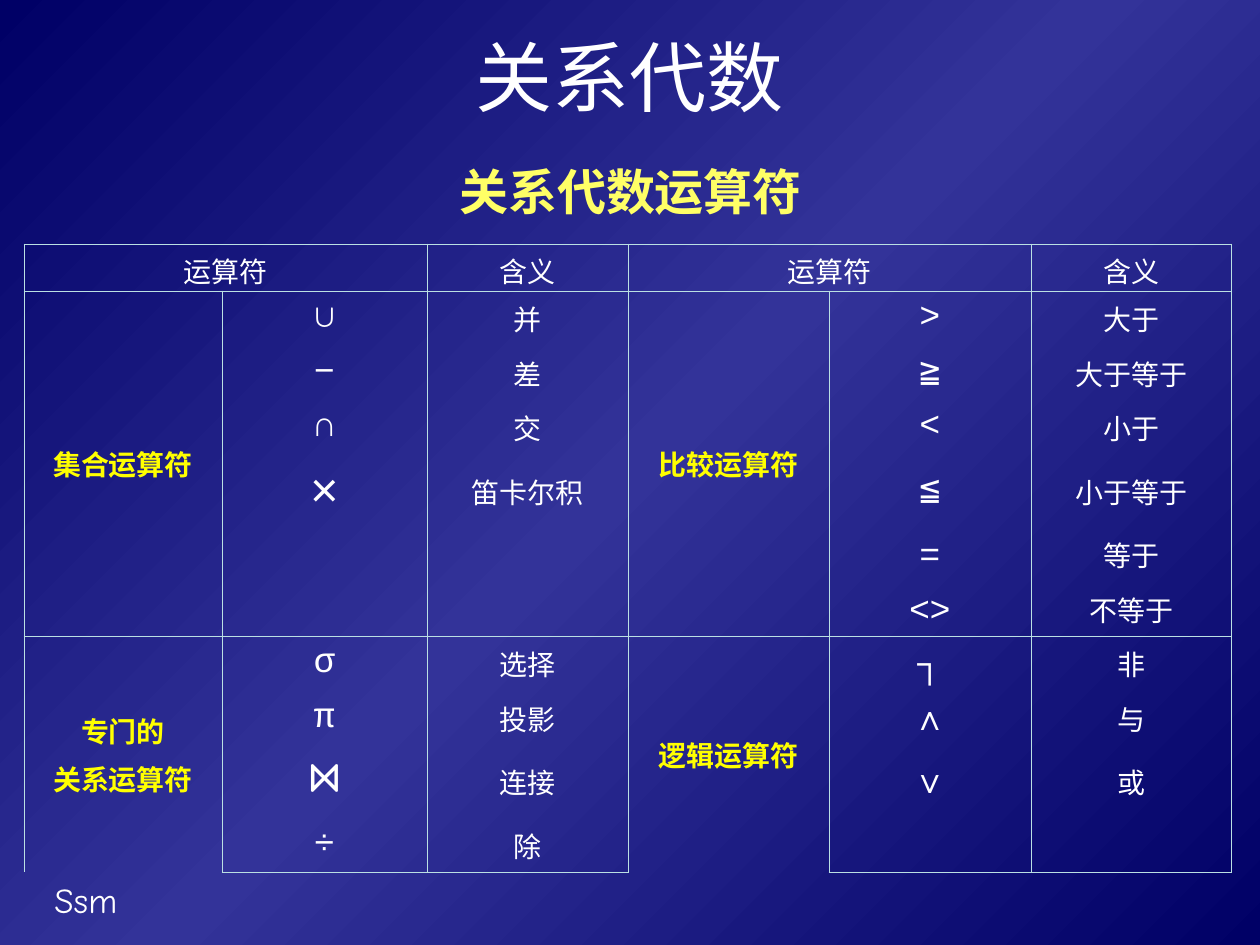
from pptx import Presentation
from pptx.dml.color import RGBColor
from pptx.enum.text import MSO_ANCHOR, PP_ALIGN
from pptx.oxml.ns import qn
from pptx.oxml.xmlchemy import OxmlElement
from pptx.util import Emu, Pt

CENTER, LEFT = PP_ALIGN.CENTER, PP_ALIGN.LEFT
MIDDLE, TOP = MSO_ANCHOR.MIDDLE, MSO_ANCHOR.TOP
PX = 914400 / 126

WHITE, YELLOW, PALE_YELLOW = "FFFFFF", "FFFF00", "FFFF66"
BORDER = "BBE0E3"
BACKGROUND_STOPS = [(0, "000066"), (50, "333399"), (100, "000066")]
CHINESE, SANS, MONO, COMIC = "Noto Sans CJK SC", "Arial", "Courier New", "Comic Neue"

# Table content: each group is (first row, row count, column, label, operators)
COLUMN_WIDTHS = [198, 205, 201, 201, 202, 201]
ROW_HEIGHTS = [47, 54, 54, 54, 72, 54, 54, 54, 54, 72, 54]
GROUP_TOPS = (0, 1, 7)
GROUP_BOTTOMS = (0, 6, 10)
GROUPS = [
    (1, 6, 0, ["集合运算符"],
     [("∪", "并"), ("−", "差"), ("∩", "交"), ("×", "笛卡尔积")]),
    (1, 6, 3, ["比较运算符"],
     [(">", "大于"), ("≧", "大于等于"), ("<", "小于"),
      ("≦", "小于等于"), ("=", "等于"), ("<>", "不等于")]),
    (7, 4, 0, ["专门的", "关系运算符"],
     [("σ", "选择"), ("π", "投影"), ("⋈", "连接"), ("÷", "除")]),
    (7, 4, 3, ["逻辑运算符"],
     [("┐", "非"), ("∧", "与"), ("∨", "或")]),
]
SANS_SYMBOLS = {"×", "=", "<>", "┐", "∧", "∨"}
LARGE_SYMBOLS = {"×", "⋈"}


def px(length):
    return Emu(round(length * PX))


def color(value):
    return RGBColor.from_string(value)


def solid_fill(value):
    fill = OxmlElement("a:solidFill")
    rgb = OxmlElement("a:srgbClr")
    rgb.set("val", value)
    fill.append(rgb)
    return fill


class SlideBuilder:
    def __init__(self, presentation):
        self.slide = presentation.slides.add_slide(presentation.slide_layouts[6])

    def background(self, stops):
        fill = self.slide.background.fill
        fill.gradient()
        fill.gradient_angle = 315
        stop_list = self.slide.element.find(".//" + qn("a:gsLst"))
        stop_list.clear()
        for position, value in stops:
            stop = OxmlElement("a:gs")
            stop.set("pos", str(position * 1000))
            stop.append(solid_fill(value)[0])
            stop_list.append(stop)

    def paragraphs(self, frame, lines, size, font_name, value=WHITE, bold=False, align=CENTER):
        for index, line in enumerate(lines):
            paragraph = frame.add_paragraph() if index else frame.paragraphs[0]
            paragraph.text = line
            paragraph.alignment = align
            paragraph.space_before = Pt(4 if index else 0)
            font = paragraph.font
            font.size, font.bold, font.name = Pt(size), bold, font_name
            font.color.rgb = color(value)

    def text(self, left, top, width, height, line, size, font_name, anchor=TOP, **style):
        box = self.slide.shapes.add_textbox(px(left), px(top), px(width), px(height))
        frame = box.text_frame
        frame.word_wrap = True
        frame.vertical_anchor = anchor
        self.paragraphs(frame, [line], size, font_name, **style)

    def borders(self, cell, top, bottom):
        properties = cell._tc.get_or_add_tcPr()
        for side, shown in (("L", True), ("R", True), ("T", top), ("B", bottom)):
            line = OxmlElement(f"a:ln{side}")
            line.set("w", str(Pt(0.45)))
            line.append(solid_fill(BORDER) if shown else OxmlElement("a:noFill"))
            properties.append(line)

    def table(self, left, top, widths, heights):
        frame = self.slide.shapes.add_table(
            len(heights), len(widths), px(left), px(top), px(sum(widths)), px(sum(heights)))
        table = frame.table
        table.first_row = table.horz_banding = False
        for column, width in zip(table.columns, widths):
            column.width = px(width)
        for row_index, (row, height) in enumerate(zip(table.rows, heights)):
            row.height = px(height)
            for cell in row.cells:
                self.borders(cell, row_index in GROUP_TOPS, row_index in GROUP_BOTTOMS)
                cell.fill.background()
                cell.vertical_anchor = MIDDLE
        return table

    def cell(self, cell, lines, size=16, font_name=MONO, **style):
        self.paragraphs(cell.text_frame, lines, size, font_name, **style)


def main():
    presentation = Presentation()
    presentation.slide_width, presentation.slide_height = px(1260), px(945)
    builder = SlideBuilder(presentation)
    builder.background(BACKGROUND_STOPS)

    # Footer and title
    builder.text(42, 872, 262, 55, "Ssm", 20, COMIC, align=LEFT)
    builder.text(63, 21, 1134, 110, "关系代数", 44, CHINESE, anchor=MIDDLE)

    # Operator table: header, then one merged label per group
    table = builder.table(24, 244, COLUMN_WIDTHS, ROW_HEIGHTS)
    for column in (0, 3):
        table.cell(0, column).merge(table.cell(0, column + 1))
        builder.cell(table.cell(0, column), ["运算符"])
        builder.cell(table.cell(0, column + 2), ["含义"])
    for first_row, row_count, column, label, operators in GROUPS:
        label_cell = table.cell(first_row, column)
        label_cell.merge(table.cell(first_row + row_count - 1, column))
        builder.cell(label_cell, label, value=YELLOW, bold=True)
        for row, (symbol, meaning) in enumerate(operators, first_row):
            builder.cell(table.cell(row, column + 1), [symbol],
                         28 if symbol in LARGE_SYMBOLS else 20,
                         SANS if symbol in SANS_SYMBOLS else MONO)
            builder.cell(table.cell(row, column + 2), [meaning])

    # Subtitle
    builder.text(432, 155, 397, 72, "关系代数运算符", 28, SANS, value=PALE_YELLOW, bold=True)
    presentation.save("out.pptx")


if __name__ == "__main__":
    main()
